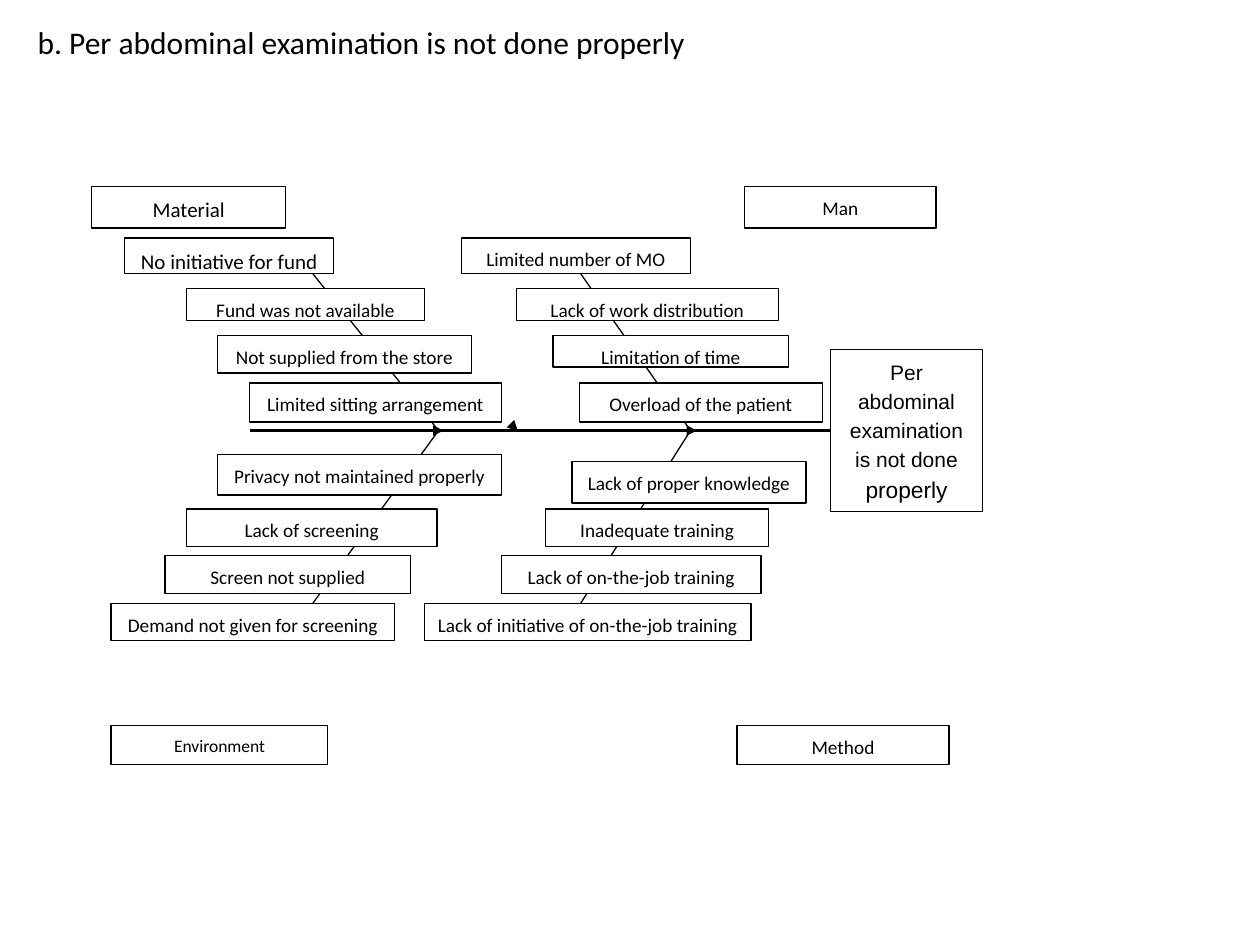
from dataclasses import dataclass
from typing import Any

from lxml import etree
from pptx import Presentation
from pptx import util as u
from pptx.dml.color import RGBColor
from pptx.enum import shapes, text
from pptx.oxml import ns

COLOURS = {"ink": "000000", "paper": "FFFFFF"}
SPINE_Y = 8.68
FRAME = {
    "word_wrap": True,
    "vertical_anchor": text.MSO_ANCHOR.TOP,
    "margin_left": u.Cm(0.2),
    "margin_right": u.Cm(0.2),
}
PARAGRAPH = {
    "alignment": text.PP_ALIGN.CENTER,
    "line_spacing": 1.15,
    "space_after": u.Pt(10),
}


@dataclass(frozen=True)
class Label:
    """A framed label, measured in centimetres, with its font size in points."""

    wording: str
    left: float
    top: float
    width: float
    height: float
    size: int = 11


@dataclass(frozen=True)
class Stroke:
    """A straight line between two points in centimetres."""

    start: tuple[float, float]
    end: tuple[float, float]
    width: float = 0.75
    arrow: bool = False


CATEGORIES = [
    Label("Material", 1.85, 3.76, 3.91, 0.84, 12),
    Label("Man", 15.01, 3.76, 3.86, 0.84),
    Label("Environment", 2.24, 14.63, 4.37, 0.79, 10),
    Label("Method", 14.86, 14.63, 4.27, 0.79),
]
CAUSES = [
    Label("No initiative for fund", 2.51, 4.8, 4.22, 0.71, 12),
    Label("Fund was not available", 3.76, 5.82, 4.8, 0.64),
    Label("Not supplied from the store", 4.39, 6.76, 5.11, 0.76),
    Label("Limited sitting arrangement", 5.03, 7.72, 5.08, 0.79),
    Label("Limited number of MO", 9.3, 4.8, 4.62, 0.71),
    Label("Lack of work distribution", 10.41, 5.82, 5.28, 0.64),
    Label("Limitation of time", 11.15, 6.76, 4.75, 0.64),
    Label("Overload of the patient", 11.68, 7.72, 4.9, 0.79),
    Label("Privacy not maintained properly", 4.39, 9.17, 5.72, 0.81),
    Label("Lack of screening", 3.76, 10.26, 5.05, 0.76),
    Label("Screen not supplied", 3.33, 11.2, 4.95, 0.76),
    Label("Demand not given for screening", 2.24, 12.17, 5.72, 0.75),
    Label("Lack of proper knowledge", 11.53, 9.3, 4.72, 0.84),
    Label("Inadequate training", 11.0, 10.26, 4.5, 0.76),
    Label("Lack of on-the-job training", 10.11, 11.2, 5.23, 0.76),
    Label("Lack of initiative of on-the-job training", 8.56, 12.17, 6.58, 0.74),
]
EFFECT = Label("Per abdominal examination is not done ", 16.74, 7.04, 3.07, 3.28, 12)
SPINE = Stroke((5.03, SPINE_Y), (EFFECT.left, SPINE_Y), 2)
RIBS = [
    Stroke((start_x, start_y), (joint_x, SPINE_Y))
    for start_x, joint_x in ((6.3, 8.84), (11.7, 13.92))
    for start_y in (5.51, 12.17)
]
ARROWS = [
    Stroke((8.31, SPINE_Y), (8.94, SPINE_Y), arrow=True),
    Stroke((13.41, SPINE_Y), (14.05, SPINE_Y), arrow=True),
    Stroke((10.41, 8.66), (10.44, 8.69), arrow=True),
]


def colour(name: str) -> RGBColor:
    """Return a named colour."""
    return RGBColor.from_string(COLOURS[name])


def apply(target: Any, values: dict[str, Any]) -> None:
    """Set every attribute listed in the format values."""
    for name, value in values.items():
        setattr(target, name, value)


def add_span(para: Any, wording: str, size: int, font: str = "Calibri") -> None:
    """Append formatted wording to a paragraph."""
    span = para.add_run()
    span.text = wording
    apply(span.font, {"name": font, "size": u.Pt(size)})
    span.font.color.rgb = colour("ink")


def draw_label(page: Any, label: Label, font: str = "Calibri") -> Any:
    """Draw a framed label and return its box."""
    place = map(u.Cm, (label.left, label.top, label.width, label.height))
    box = page.shapes.add_shape(shapes.MSO_SHAPE.RECTANGLE, *place)
    box.shadow.inherit = False
    box.fill.solid()
    box.fill.fore_color.rgb = colour("paper")
    box.line.color.rgb = colour("ink")
    box.line.width = u.Pt(0.75)
    apply(box.text_frame, FRAME)
    para = box.text_frame.paragraphs[0]
    apply(para, PARAGRAPH)
    add_span(para, label.wording, label.size, font)
    return box


def draw_stroke(page: Any, stroke: Stroke) -> Any:
    """Draw a straight line and return its connector."""
    ends = map(u.Cm, (*stroke.start, *stroke.end))
    connector = page.shapes.add_connector(shapes.MSO_CONNECTOR.STRAIGHT, *ends)
    connector.line.color.rgb = colour("ink")
    connector.line.width = u.Pt(stroke.width)
    if stroke.arrow:
        outline = connector.line._get_or_add_ln()
        etree.SubElement(outline, ns.qn("a:tailEnd"), type="triangle")
    etree.SubElement(connector._element.spPr, ns.qn("a:effectLst"))
    return connector


def draw_title(page: Any) -> None:
    """Write the slide heading."""
    box = page.shapes.add_textbox(u.Cm(0.51), u.Cm(0.33), u.Cm(23.6), u.Cm(1.02))
    box.text_frame.word_wrap = True
    wording = "b. Per abdominal examination is not done properly"
    add_span(box.text_frame.paragraphs[0], wording, 18)


def main() -> None:
    """Build the cause-and-effect slide."""
    deck = Presentation()
    apply(deck, {"slide_width": u.Cm(25.4), "slide_height": u.Cm(19.05)})
    page = deck.slides.add_slide(deck.slide_layouts[6])
    draw_title(page)
    effect = draw_label(page, EFFECT, "Arial")
    add_span(effect.text_frame.paragraphs[0], "properly", 13, "Arial")
    draw_stroke(page, SPINE).end_connect(effect, 1)
    for stroke in RIBS + ARROWS:
        draw_stroke(page, stroke)
    for label in CATEGORIES + CAUSES:
        draw_label(page, label)
    deck.save("out.pptx")


if __name__ == "__main__":
    main()
